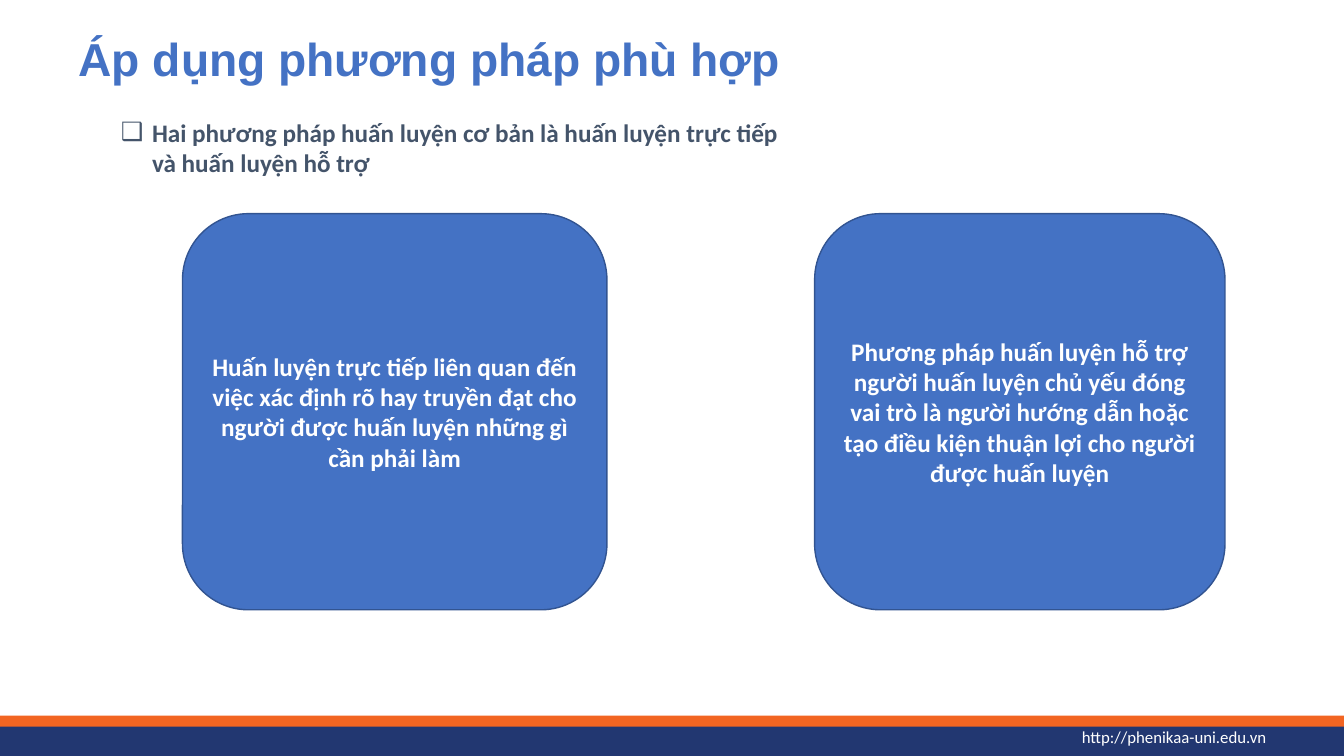
from lxml import etree
from pptx import Presentation
from pptx.dml.color import RGBColor
from pptx.enum import shapes, text
from pptx.oxml import ns
from pptx.util import Inches, Pt

COLORS = {
    "blue": "4472C4",
    "outline": "325491",
    "slate": "44546A",
    "orange": "F26522",
    "navy": "223771",
    "white": "FFFFFF",
}


def add_block(kind, box, fill):
    block = slide.shapes.add_shape(kind, *map(Inches, box))
    block.shadow.inherit = False
    block.fill.solid()
    block.fill.fore_color.rgb = RGBColor.from_string(COLORS[fill])
    block.line.fill.background()
    return block


def write(frame, words, size, color, font="Calibri", bold=True):
    """Fill a wrapping text frame with one formatted paragraph and return it."""
    frame.word_wrap = True
    paragraph = frame.paragraphs[0]
    paragraph.text = words
    run_font = paragraph.runs[0].font
    run_font.name = font
    run_font.size = Pt(size)
    run_font.bold = bold
    run_font.color.rgb = RGBColor.from_string(COLORS[color])
    return paragraph


prs = Presentation()
prs.slide_width = Inches(13.33)
prs.slide_height = Inches(7.5)
slide = prs.slides.add_slide(prs.slide_layouts[6])

# Footer
for top, height, color in [(7.1, 0.12, "orange"), (7.21, 0.3, "navy")]:
    add_block(shapes.MSO_SHAPE.RECTANGLE, (0, top, 13.33, height), color)

address = slide.shapes.add_textbox(
    Inches(10.73), Inches(7.21), Inches(2.46), Inches(0.2)).text_frame
address.margin_left = address.margin_right = 0
address.margin_top = address.margin_bottom = 0
address.vertical_anchor = text.MSO_ANCHOR.MIDDLE
write(address, "http://phenikaa-uni.edu.vn", 12, "white", bold=False)

# Heading and introduction
title = slide.shapes.add_textbox(
    Inches(0.68), Inches(0.31), Inches(7.82), Inches(0.6)).text_frame
heading = write(title, "Áp dụng phương pháp phù hợp", 33, "blue", font="Arial")
heading.line_spacing = 0.9

intro = slide.shapes.add_textbox(
    Inches(1.1), Inches(1.11), Inches(6.99), Inches(1.01)).text_frame
point = write(
    intro,
    "Hai phương pháp huấn luyện cơ bản là huấn luyện trực tiếp và huấn luyện hỗ trợ",
    18, "slate")
properties = point._p.get_or_add_pPr()
properties.set("marL", str(Inches(0.31)))
properties.set("indent", str(Inches(-0.31)))
etree.SubElement(properties, ns.qn("a:buFont"), typeface="Arial")
etree.SubElement(properties, ns.qn("a:buChar"), char="❑")

# The two coaching methods
methods = [
    (1.81, 4.21, "Huấn luyện trực tiếp liên quan đến việc xác định rõ hay truyền đạt "
                 "cho người được huấn luyện những gì cần phải làm"),
    (8.08, 4.07, "Phương pháp huấn luyện hỗ trợ người huấn luyện chủ yếu đóng vai trò "
                 "là người hướng dẫn hoặc tạo điều kiện thuận lợi cho người được "
                 "huấn luyện"),
]
for left, width, description in methods:
    card = add_block(
        shapes.MSO_SHAPE.ROUNDED_RECTANGLE, (left, 2.12, width, 3.93), "blue")
    card.line.color.rgb = RGBColor.from_string(COLORS["outline"])
    card.line.width = Pt(1)
    card.text_frame.vertical_anchor = text.MSO_ANCHOR.MIDDLE
    write(card.text_frame, description, 18, "white").alignment = text.PP_ALIGN.CENTER

prs.save("out.pptx")
